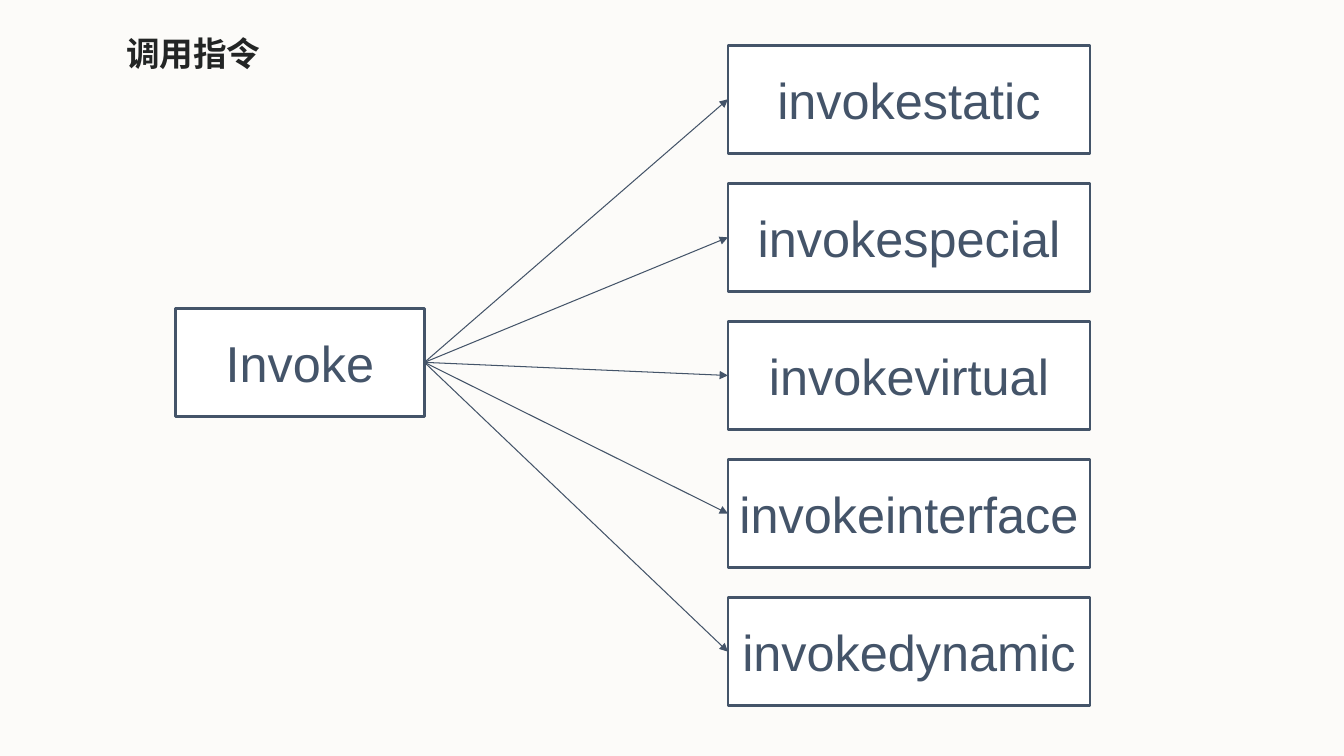
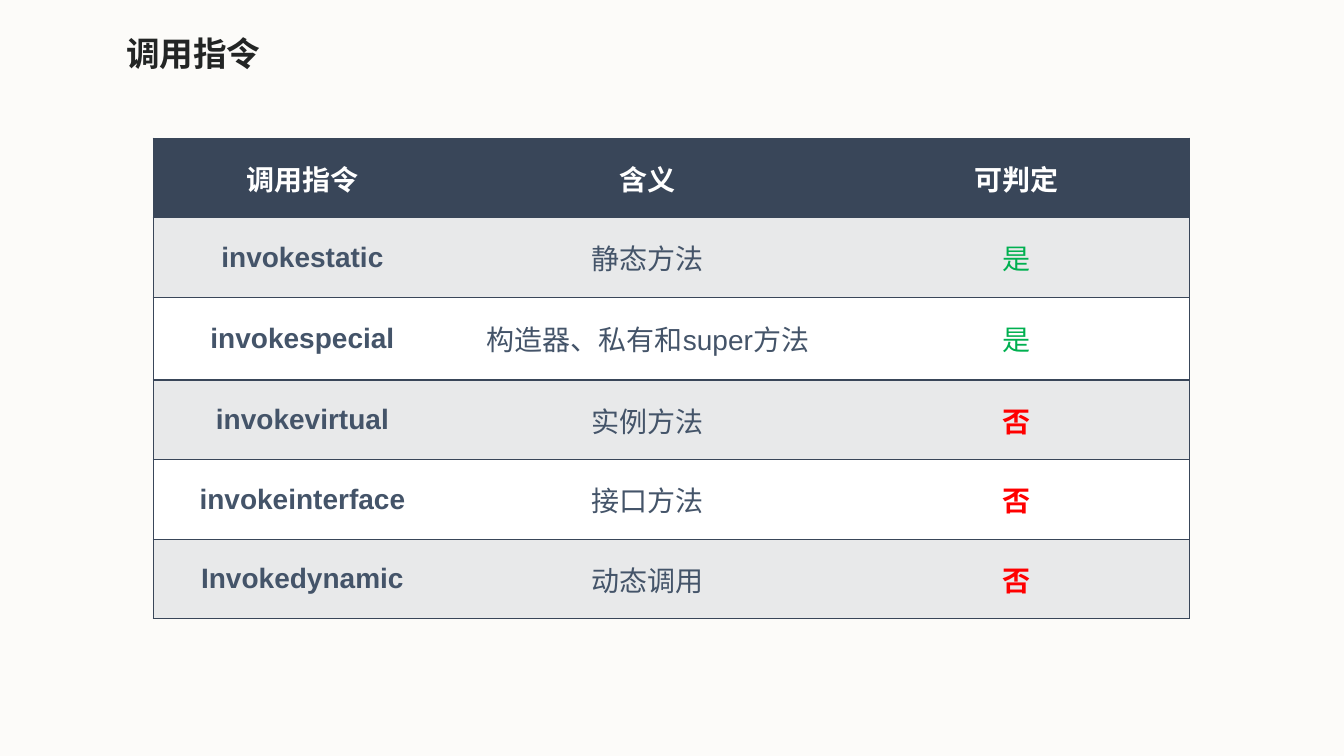
"""Build two slides on invoke instructions: a fan of boxes and a table."""
from dataclasses import dataclass

from lxml.etree import SubElement
from pptx import Presentation
from pptx.dml.color import RGBColor
from pptx.enum.shapes import MSO_CONNECTOR, MSO_SHAPE
from pptx.enum.text import MSO_ANCHOR, MSO_AUTO_SIZE, PP_ALIGN
from pptx.oxml.ns import qn
from pptx.util import Inches, Pt


@dataclass(frozen=True)
class Theme:
    back: str = "FCFBF9"
    title: str = "232525"
    ink: str = "445469"
    dark: str = "394659"
    band: str = "E8E9EA"
    white: str = "FFFFFF"
    green: str = "00B050"
    red: str = "FF0000"
    latin: str = "Arial"
    asian: str = "Noto Sans CJK SC"
    head: int = 24
    box: int = 36
    cell: int = 20
    edge: float = 2
    arrow: float = 0.75
    rule: int = 1


T = Theme()
WIDE, HIGH = 13.33, 7.5
TITLE = "调用指令"
ROOT = "Invoke"
LEAVES = ["invokestatic", "invokespecial", "invokevirtual",
          "invokeinterface", "invokedynamic"]
HEADER = ("调用指令", "含义", "可判定")
ROWS = [
    ("invokestatic", "静态方法", "是"),
    ("invokespecial", "构造器、私有和super方法", "是"),
    ("invokevirtual", "实例方法", "否"),
    ("invokeinterface", "接口方法", "否"),
    ("Invokedynamic", "动态调用", "否"),
]
ANSWER = {"是": {"color": T.green}, "否": {"color": T.red, "bold": True}}

TITLE_AT = (1.15, 0.28, 2.47, 0.5)
BOX_HIGH, PITCH = 1.07, 1.37
ROOT_AT = (1.74, 3.06, 2.47, BOX_HIGH)
LEAF_LEFT, LEAF_TOP, LEAF_WIDE = 7.22, 0.45, 3.59
TABLE_AT = (1.52, 1.37)
COLS = (2.96, 3.89, 3.43)
HEIGHTS = (0.79, 0.79, 0.82, 0.79, 0.79, 0.79)


def rgb(code):
    return RGBColor.from_string(code)


def paint(fill, code):
    fill.solid()
    fill.fore_color.rgb = rgb(code)


def assign(target, values):
    for name, value in values.items():
        setattr(target, name, value)


def write(frame, text, size, color=T.ink, bold=False, latin=T.latin,
          align=PP_ALIGN.CENTER):
    para = frame.paragraphs[0]
    para.alignment = align
    run = para.add_run()
    run.text = text
    assign(run.font, {"size": Pt(size), "bold": bold, "name": latin})
    run.font.color.rgb = rgb(color)
    SubElement(run.font._element, qn("a:ea"), typeface=T.asian)


def start(deck):
    slide = deck.slides.add_slide(deck.slide_layouts.get_by_name("Title Only"))
    title = slide.shapes.title
    names = ("left", "top", "width", "height")
    assign(title, dict(zip(names, map(Inches, TITLE_AT))))
    assign(title.text_frame, {"auto_size": MSO_AUTO_SIZE.NONE,
                              "word_wrap": True,
                              "vertical_anchor": MSO_ANCHOR.MIDDLE})
    write(title.text_frame, TITLE, T.head, T.title, True, T.asian,
          PP_ALIGN.LEFT)
    return slide


def box(slide, text, place):
    shape = slide.shapes.add_shape(MSO_SHAPE.RECTANGLE, *map(Inches, place))
    shape.shadow.inherit = False
    paint(shape.fill, T.white)
    paint(shape.line.fill, T.ink)
    shape.line.width = Pt(T.edge)
    shape.text_frame.vertical_anchor = MSO_ANCHOR.MIDDLE
    write(shape.text_frame, text, T.box)
    return shape


def link(slide, start, end):
    line = slide.shapes.add_connector(MSO_CONNECTOR.STRAIGHT, 0, 0, 0, 0)
    line.begin_connect(start, 3)
    line.end_connect(end, 1)
    paint(line.line.fill, T.ink)
    line.line.width = Pt(T.arrow)
    SubElement(line.line._get_or_add_ln(), qn("a:tailEnd"), type="triangle")
    SubElement(line._element.spPr, qn("a:effectLst"))


def border(cell, sides):
    props = cell._tc.get_or_add_tcPr()
    for side in "LRTB":
        line = SubElement(props, qn(f"a:ln{side}"), w=str(Pt(T.rule)))
        if side in sides:
            fill = SubElement(line, qn("a:solidFill"))
            SubElement(fill, qn("a:srgbClr"), val=T.dark)
        else:
            SubElement(line, qn("a:noFill"))


def fan(deck):
    slide = start(deck)
    root = box(slide, ROOT, ROOT_AT)
    for row, text in enumerate(LEAVES):
        place = (LEAF_LEFT, LEAF_TOP + row * PITCH, LEAF_WIDE, BOX_HIGH)
        link(slide, root, box(slide, text, place))


def grid(deck):
    slide = start(deck)
    size = (sum(COLS), sum(HEIGHTS))
    table = slide.shapes.add_table(len(HEIGHTS), len(COLS),
                                   *map(Inches, TABLE_AT + size)).table
    for col, width in zip(table.columns, COLS):
        col.width = Inches(width)
    for row, height in zip(table.rows, HEIGHTS):
        row.height = Inches(height)
    for r, words in enumerate([HEADER, *ROWS]):
        fill = T.dark if r == 0 else T.band if r % 2 else T.white
        for c, text in enumerate(words):
            cell = table.cell(r, c)
            border(cell, ("LTB", "TB", "RTB")[c])
            paint(cell.fill, fill)
            cell.vertical_anchor = MSO_ANCHOR.MIDDLE
            style = {"bold": c == 0, **ANSWER.get(text, {})}
            if r == 0:
                style = {"color": T.white, "bold": True}
            write(cell.text_frame, text, T.cell, **style)


def main():
    deck = Presentation()
    assign(deck, {"slide_width": Inches(WIDE), "slide_height": Inches(HIGH)})
    paint(deck.slide_master.background.fill, T.back)
    fan(deck)
    grid(deck)
    deck.save("out.pptx")


if __name__ == "__main__":
    main()
